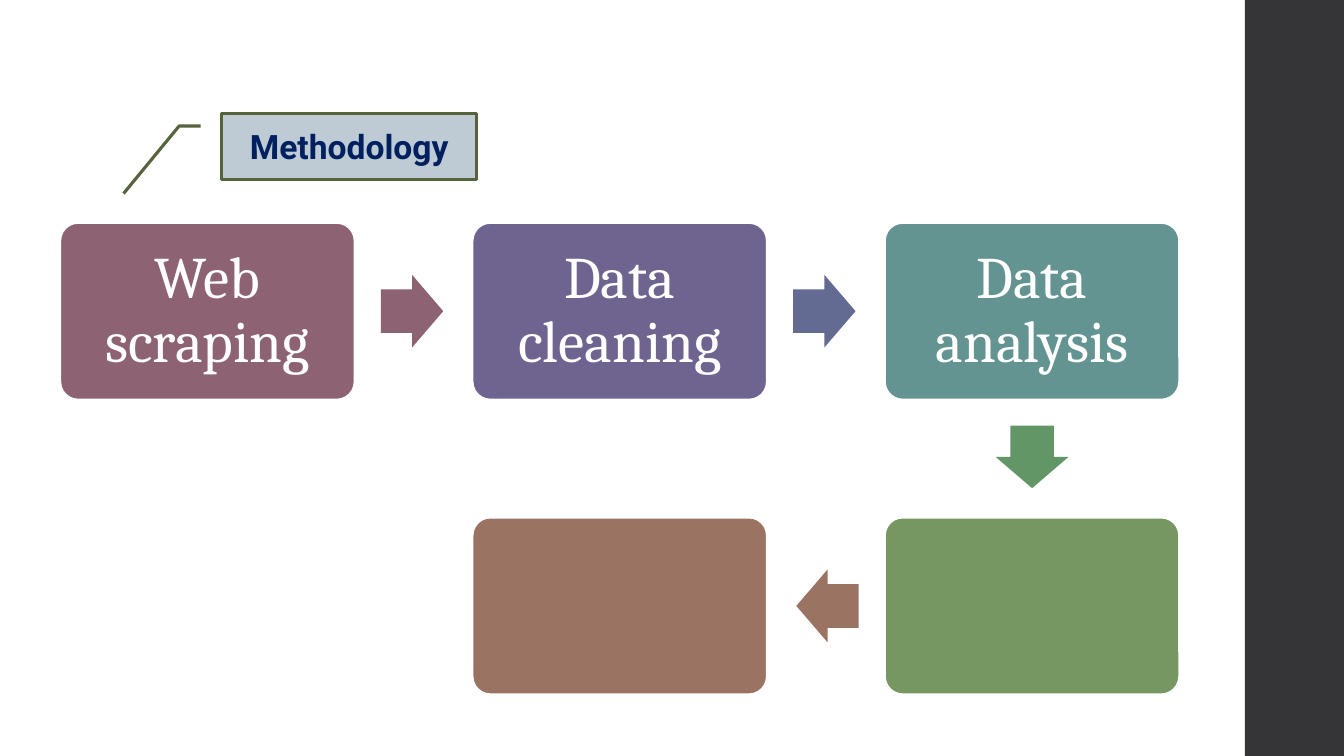
"""Build the methodology slide: a five-step process with a callout title."""
from dataclasses import dataclass

import pptx
import pptx.dml.color
import pptx.enum.shapes
import pptx.enum.text
import pptx.presentation
import pptx.shapes.autoshape
import pptx.slide
import pptx.util

Pt = pptx.util.Pt
RGBColor = pptx.dml.color.RGBColor
MSO_SHAPE = pptx.enum.shapes.MSO_SHAPE

WHITE = RGBColor(0xFF, 0xFF, 0xFF)
CHARCOAL = RGBColor(0x35, 0x35, 0x37)
PALE_BLUE = RGBColor(0xBE, 0xCB, 0xD5)
OLIVE = RGBColor(0x56, 0x63, 0x3D)
NAVY = RGBColor(0x00, 0x20, 0x60)
MAUVE = RGBColor(0x8D, 0x63, 0x74)
PURPLE = RGBColor(0x6F, 0x63, 0x90)
INDIGO = RGBColor(0x63, 0x6B, 0x92)
TEAL = RGBColor(0x63, 0x94, 0x91)
GREEN = RGBColor(0x62, 0x96, 0x66)
MOSS = RGBColor(0x76, 0x97, 0x62)
BROWN = RGBColor(0x9B, 0x73, 0x62)

SLIDE_WIDTH, SLIDE_HEIGHT = 960, 540
SIDEBAR_LEFT = 889.2
GRID_LEFT, GRID_TOP = 43.2, 159.3
COLUMN_STEP, ROW_STEP = 294.5, 210.5
BOX_WIDTH, BOX_HEIGHT = 210, 126
ARROW_LENGTH, ARROW_WIDTH, ARROW_GAP = 44.6, 52, 18.8
CALLOUT_ADJUSTMENTS = (0.188, -0.083, 0.188, -0.167, 1.219, -0.385)


@dataclass(frozen=True)
class Step:
    """A process box at a grid cell."""

    column: int
    row: int
    color: RGBColor
    label: str = ""

    @property
    def left(self) -> float:
        """Left edge in points."""
        return GRID_LEFT + self.column * COLUMN_STEP

    @property
    def top(self) -> float:
        """Top edge in points."""
        return GRID_TOP + self.row * ROW_STEP


@dataclass(frozen=True)
class Arrow:
    """An arrow leaving a step in a grid direction."""

    source: Step
    across: int
    down: int
    rotation: int
    color: RGBColor


SCRAPING = Step(0, 0, MAUVE, "Web scraping")
CLEANING = Step(1, 0, PURPLE, "Data cleaning")
ANALYSIS = Step(2, 0, TEAL, "Data analysis")
FOURTH = Step(2, 1, MOSS)
FIFTH = Step(1, 1, BROWN)
STEPS = (SCRAPING, CLEANING, ANALYSIS, FOURTH, FIFTH)
ARROWS = (
    Arrow(SCRAPING, 1, 0, 0, MAUVE),
    Arrow(CLEANING, 1, 0, 0, INDIGO),
    Arrow(ANALYSIS, 0, 1, 90, GREEN),
    Arrow(FOURTH, -1, 0, 180, BROWN),
)


def add_filled_shape(
    slide: pptx.slide.Slide,
    kind: MSO_SHAPE,
    left: float,
    top: float,
    width: float,
    height: float,
    color: RGBColor,
    adjustments: tuple[float, ...] = (),
    line_color: RGBColor | None = None,
    line_width: float = 0,
) -> pptx.shapes.autoshape.Shape:
    """Add a shape with a solid fill and an optional outline."""
    shape = slide.shapes.add_shape(kind, Pt(left), Pt(top), Pt(width), Pt(height))
    shape.shadow.inherit = False
    shape.fill.solid()
    shape.fill.fore_color.rgb = color
    for index, value in enumerate(adjustments):
        shape.adjustments[index] = value
    if line_color is None:
        shape.line.fill.background()
    else:
        shape.line.color.rgb = line_color
        shape.line.width = Pt(line_width)
    return shape


def set_label(
    shape: pptx.shapes.autoshape.Shape,
    text: str,
    font_name: str,
    size: float,
    color: RGBColor,
    bold: bool = False,
) -> None:
    """Write centred text into a shape."""
    text_frame = shape.text_frame
    text_frame.text = text
    text_frame.word_wrap = True
    text_frame.vertical_anchor = pptx.enum.text.MSO_ANCHOR.MIDDLE
    paragraph = text_frame.paragraphs[0]
    paragraph.alignment = pptx.enum.text.PP_ALIGN.CENTER
    font = paragraph.runs[0].font
    font.name, font.size, font.bold = font_name, Pt(size), bold
    font.color.rgb = color


def add_step(slide: pptx.slide.Slide, step: Step) -> None:
    """Add a process box with its label."""
    box = add_filled_shape(
        slide, MSO_SHAPE.ROUNDED_RECTANGLE, step.left, step.top,
        BOX_WIDTH, BOX_HEIGHT, step.color, (0.1,), WHITE, 1.1,
    )
    if step.label:
        set_label(box, step.label, "Cambria", 42, WHITE)
        text_frame = box.text_frame
        text_frame.margin_left = text_frame.margin_right = Pt(12)
        text_frame.margin_top = text_frame.margin_bottom = Pt(12)
        text_frame.paragraphs[0].line_spacing = 0.9


def add_arrow(slide: pptx.slide.Slide, arrow: Arrow) -> None:
    """Add an arrow beside its source step."""
    reach = ARROW_GAP + ARROW_LENGTH / 2
    center_x = arrow.source.left + BOX_WIDTH / 2 + arrow.across * (BOX_WIDTH / 2 + reach)
    center_y = arrow.source.top + BOX_HEIGHT / 2 + arrow.down * (BOX_HEIGHT / 2 + reach)
    shape = add_filled_shape(
        slide, MSO_SHAPE.RIGHT_ARROW, center_x - ARROW_LENGTH / 2,
        center_y - ARROW_WIDTH / 2, ARROW_LENGTH, ARROW_WIDTH,
        arrow.color, (0.6, 0.5),
    )
    shape.rotation = arrow.rotation


def build_slide(presentation: pptx.presentation.Presentation) -> None:
    """Add the slide with its sidebar, title and process."""
    slide = presentation.slides.add_slide(presentation.slide_layouts[6])
    add_filled_shape(
        slide, MSO_SHAPE.RECTANGLE, SIDEBAR_LEFT, 0,
        SLIDE_WIDTH - SIDEBAR_LEFT, SLIDE_HEIGHT, CHARCOAL,
    )
    title = add_filled_shape(
        slide, MSO_SHAPE.LINE_CALLOUT_2, 158.4, 81.2, 182.2, 46.8,
        PALE_BLUE, CALLOUT_ADJUSTMENTS, OLIVE, 2.25,
    )
    set_label(title, "Methodology", "Roboto", 24, NAVY, bold=True)
    for step in STEPS:
        add_step(slide, step)
    for arrow in ARROWS:
        add_arrow(slide, arrow)


def main() -> None:
    """Create and save the presentation."""
    presentation = pptx.Presentation()
    presentation.slide_width = Pt(SLIDE_WIDTH)
    presentation.slide_height = Pt(SLIDE_HEIGHT)
    build_slide(presentation)
    presentation.save("out.pptx")


main()
